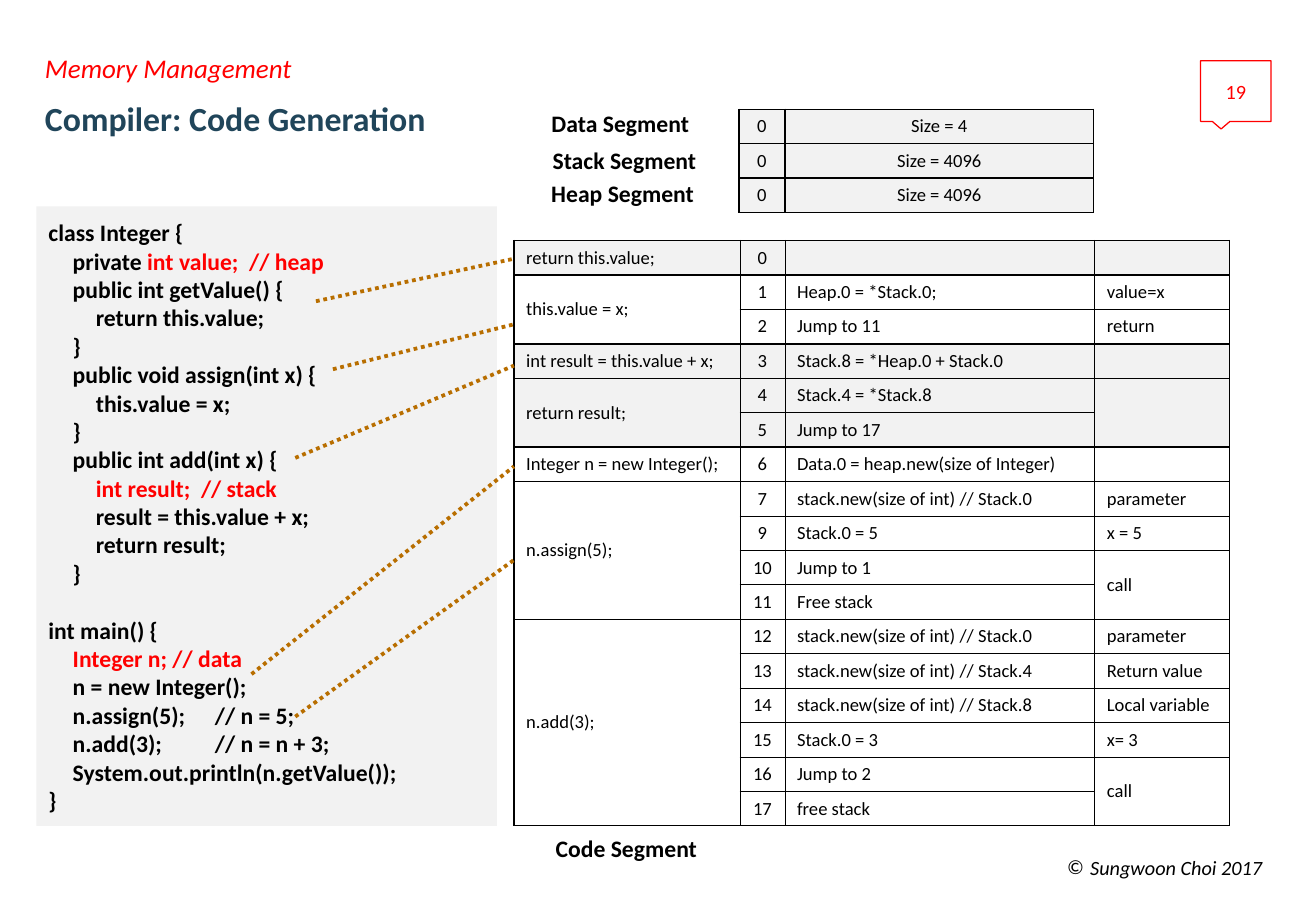
from lxml import etree
from pptx import Presentation
from pptx.dml.color import RGBColor
from pptx.enum.dml import MSO_LINE
from pptx.enum.shapes import MSO_CONNECTOR, MSO_SHAPE
from pptx.enum.text import MSO_ANCHOR, MSO_AUTO_SIZE, PP_ALIGN
from pptx.oxml.ns import qn
from pptx.util import Pt

LEFT, CENTER, RIGHT = PP_ALIGN.LEFT, PP_ALIGN.CENTER, PP_ALIGN.RIGHT
MIDDLE, BOTTOM, TOP = MSO_ANCHOR.MIDDLE, MSO_ANCHOR.BOTTOM, MSO_ANCHOR.TOP
NO_FIT = MSO_AUTO_SIZE.NONE
STRAIGHT, DOTTED = MSO_CONNECTOR.STRAIGHT, MSO_LINE.ROUND_DOT
RECTANGLE, CALLOUT = MSO_SHAPE.RECTANGLE, MSO_SHAPE.RECTANGULAR_CALLOUT

BLACK = RGBColor(0x00, 0x00, 0x00)
WHITE = RGBColor(0xFF, 0xFF, 0xFF)
RED = RGBColor(0xFF, 0x00, 0x00)
NAVY = RGBColor(0x20, 0x45, 0x5A)
OCHRE = RGBColor(0xB8, 0x6E, 0x00)
GRAY = RGBColor(0xF2, 0xF2, 0xF2)

EMU_PER_PX = 9144
CODE_TABS = (20, 39, 117, 137)
CODE = [
    "class Integer {",
    "\tprivate |int value;  // heap",
    "\tpublic int getValue() {",
    "\t\treturn this.value;",
    "\t}",
    "\tpublic void assign(int x) {",
    "\t\tthis.value = x;",
    "\t}",
    "\tpublic int add(int x) {",
    "\t\t|int result;  // stack",
    "\t\tresult = this.value + x;",
    "\t\treturn result;",
    "\t}",
    "int main() {",
    "\t|Integer n; // data",
    "\tn = new Integer();",
    "\tn.assign(5); \t// n = 5;",
    "\tn.add(3);\t\t// n = n + 3;",
    "\tSystem.out.println(n.getValue());",
    "}",
]
SEGMENT_LABELS = [
    ("Data Segment", (441, 85, 139, 34)),
    ("Stack Segment", (441, 115, 146, 34)),
    ("Heap Segment", (441, 142, 143, 34)),
    ("Code Segment", (444, 682, 143, 34)),
]
SEGMENT_SIZES = [("0", "Size = 4"), ("0", "Size = 4096"), ("0", "Size = 4096")]
INSTRUCTIONS = [
    ("return this.value;", "0", "", ""),
    ("this.value = x;", "1", "Heap.0 = *Stack.0;", "value=x"),
    (None, "2", "Jump to 11", "return"),
    ("int result = this.value + x;", "3", "Stack.8 = *Heap.0 + Stack.0", ""),
    ("return result;", "4", "Stack.4 = *Stack.8", ""),
    (None, "5", "Jump to 17", None),
    ("Integer n = new Integer();", "6", "Data.0 = heap.new(size of Integer)", ""),
    ("n.assign(5);", "7", "stack.new(size of int) // Stack.0", "parameter"),
    (None, "9", "Stack.0 = 5", "x = 5"),
    (None, "10", "Jump to 1", "call"),
    (None, "11", "Free stack", None),
    ("n.add(3);", "12", "stack.new(size of int) // Stack.0", "parameter"),
    (None, "13", "stack.new(size of int) // Stack.4", "Return value"),
    (None, "14", "stack.new(size of int) // Stack.8", "Local variable"),
    (None, "15", "Stack.0 = 3", "x= 3"),
    (None, "16", "Jump to 2", "call"),
    (None, "17", "free stack", None),
]
CODE_LINKS = [
    (260, 248, 423, 213),
    (274, 304, 423, 267),
    (243, 377, 423, 301),
    (207, 555, 423, 384),
    (243, 590, 423, 461),
]


def px(length):
    """Turn px into EMU."""
    return length * EMU_PER_PX


def add_element(parent, tag, **attributes):
    """Append a drawing element to its parent."""
    values = {name: str(value) for name, value in attributes.items()}
    return etree.SubElement(parent, qn(tag), values)


class MemorySlide:
    """Hold the deck, the page and the text style."""

    def __init__(self, width, height, font="Calibri"):
        """Open a deck with one title and body page."""
        self.font = font
        self.deck = Presentation()
        self.deck.slide_width, self.deck.slide_height = px(width), px(height)
        self.page = self.deck.slides.add_slide(self.deck.slide_layouts[1])

    def add_text(self, para, text, size, color=BLACK, align=LEFT, **style):
        """Fill a paragraph; what follows a bar is red."""
        para.alignment = align
        for part, ink in zip(text.split("|"), (color, RED)):
            span = para.add_run()
            span.text = part
            formats = {"name": self.font, "size": Pt(size), **style}
            for name, value in formats.items():
                setattr(span.font, name, value)
            span.font.color.rgb = ink

    def frame(self, box, anchor=TOP, insets=(10, 5, 10, 5), wrap=True):
        """Set up the text frame and return its first paragraph."""
        sides = ("margin_left", "margin_top", "margin_right", "margin_bottom")
        formats = {"auto_size": NO_FIT, "word_wrap": wrap, "vertical_anchor": anchor}
        formats.update(zip(sides, map(px, insets)))
        for name, value in formats.items():
            setattr(box.text_frame, name, value)
        return box.text_frame.paragraphs[0]

    def placeholder(self, index, place, text, size, color, insets, **style):
        """Move and fill a template placeholder."""
        box = self.page.placeholders[index]
        box.left, box.top, box.width, box.height = map(px, place)
        para = self.frame(box, MIDDLE, insets)
        self.add_text(para, text, size, color, **style)
        return para

    def bullet(self, para, symbol="", indent=0):
        """Set the bullet symbol, or none."""
        properties = para._p.get_or_add_pPr()
        properties.set("marL", str(px(indent)))
        properties.set("indent", str(-px(indent)))
        if symbol:
            add_element(properties, "a:buFont", typeface=self.font)
            add_element(properties, "a:buChar", char=symbol)
        else:
            add_element(properties, "a:buNone")

    def label(self, place, text, size, align, anchor=TOP, insets=(10, 5, 10, 5), **style):
        """Add a one-line text box."""
        box = self.page.shapes.add_textbox(*map(px, place))
        para = self.frame(box, anchor, insets, wrap=align == RIGHT)
        self.add_text(para, text, size, align=align, **style)
        return para

    def shape(self, kind, place, fill=None, line=None):
        """Add a flat preset shape."""
        box = self.page.shapes.add_shape(kind, *map(px, place))
        box.shadow.inherit = False
        box.line.width = Pt(0.75)
        for format_part, color in ((box.fill, fill), (box.line.fill, line)):
            if color is None:
                format_part.background()
            else:
                format_part.solid()
                format_part.fore_color.rgb = color
        return box

    def code(self, place, lines):
        """Add the panel of source code."""
        box = self.shape(RECTANGLE, place, fill=GRAY)
        para = self.frame(box, MIDDLE)
        for number, line in enumerate(lines):
            para = box.text_frame.add_paragraph() if number else para
            self.add_text(para, line, 14, bold=True)
            if line.startswith("int main"):
                para.space_before = Pt(17)
            stops = add_element(para._p.get_or_add_pPr(), "a:tabLst")
            for stop in CODE_TABS:
                add_element(stops, "a:tab", pos=px(stop), algn="l")

    def link(self, start_x, start_y, end_x, end_y):
        """Add a dotted line from code to table."""
        ends = map(px, (start_x, start_y, end_x, end_y))
        line = self.page.shapes.add_connector(STRAIGHT, *ends)
        line.line.color.rgb = OCHRE
        line.line.width = Pt(2.25)
        line.line.dash_style = DOTTED
        add_element(line._element.spPr, "a:effectLst")

    def table(self, place, widths, rows, gray, centered, thin, heavy=()):
        """Add a ruled table; None continues the cell above."""
        size = (len(rows), len(widths))
        grid = self.page.shapes.add_table(*size, *map(px, place)).table
        grid.first_row = grid.horz_banding = False
        for column, width in zip(grid.columns, widths):
            column.width = px(width)
        for row in grid.rows:
            row.height = px(place[3]) // len(rows)
        for c, texts in enumerate(zip(*rows)):
            for r, text in enumerate(texts):
                end = r + 1
                while end < len(rows) and texts[end] is None:
                    end += 1
                cell = grid.cell(r, c)
                edges = {"a:lnL": c == 0, "a:lnR": c == len(widths) - 1}
                if text is not None:
                    edges["a:lnT"] = r in heavy
                if text is not None or end == r + 1:
                    edges["a:lnB"] = end in heavy
                self.cell(cell, text or "", CENTER if c in centered else LEFT)
                for tag, thick in edges.items():
                    width = Pt(1 if thick else thin)
                    rule = add_element(cell._tc.get_or_add_tcPr(), tag, w=width)
                    ink = add_element(rule, "a:solidFill")
                    add_element(ink, "a:srgbClr", val=BLACK)
                cell.fill.solid()
                cell.fill.fore_color.rgb = GRAY if r in gray else WHITE
                if text is not None and end > r + 1:
                    cell.merge(grid.cell(end - 1, c))

    def cell(self, cell, text, align):
        """Fill one table cell with text."""
        cell.vertical_anchor = MIDDLE
        cell.margin_top = cell.margin_bottom = px(4)
        para = cell.text_frame.paragraphs[0]
        if text:
            self.add_text(para, text, 11, align=align)
        else:
            add_element(para._p, "a:endParaRPr", sz=1100)


def main():
    """Build the slide and save it."""
    slide = MemorySlide(1083, 750)
    title = slide.placeholder(0, (30, 72, 936, 55), "Compiler: Code Generation",
                              20, NAVY, (7, 0, 7, 0), bold=True)
    title.line_spacing = 0.9
    topic = slide.placeholder(1, (30, 40, 936, 32), "Memory Management",
                              16, RED, (7, 4, 7, 4), italic=True)
    topic.space_before = Pt(3)
    slide.bullet(topic)
    author = slide.label((870, 702, 176, 22), "Sungwoon Choi 2017", 12, RIGHT,
                         BOTTOM, (7, 0, 7, 0), italic=True)
    slide.bullet(author, "©", 19)
    number = slide.shape(CALLOUT, (988, 50, 58, 50), line=RED)
    slide.add_text(slide.frame(number, MIDDLE, (16, 15, 16, 15)), "19", 12, RED, CENTER)
    slide.code((30, 170, 379, 510), CODE)
    for text, place in SEGMENT_LABELS:
        slide.label(place, text, 14, CENTER, bold=True)
    slide.table((608, 90, 292, 85), (38, 254), SEGMENT_SIZES,
                gray=range(3), centered=(0, 1), thin=1)
    slide.table((423, 198, 589, 482), (186, 37, 255, 111), INSTRUCTIONS,
                gray=(0, 3, 4, 5), centered=(1,), thin=0.5, heavy=(0, 1, 3, 6))
    for ends in CODE_LINKS:
        slide.link(*ends)
    slide.deck.save("out.pptx")


if __name__ == "__main__":
    main()
